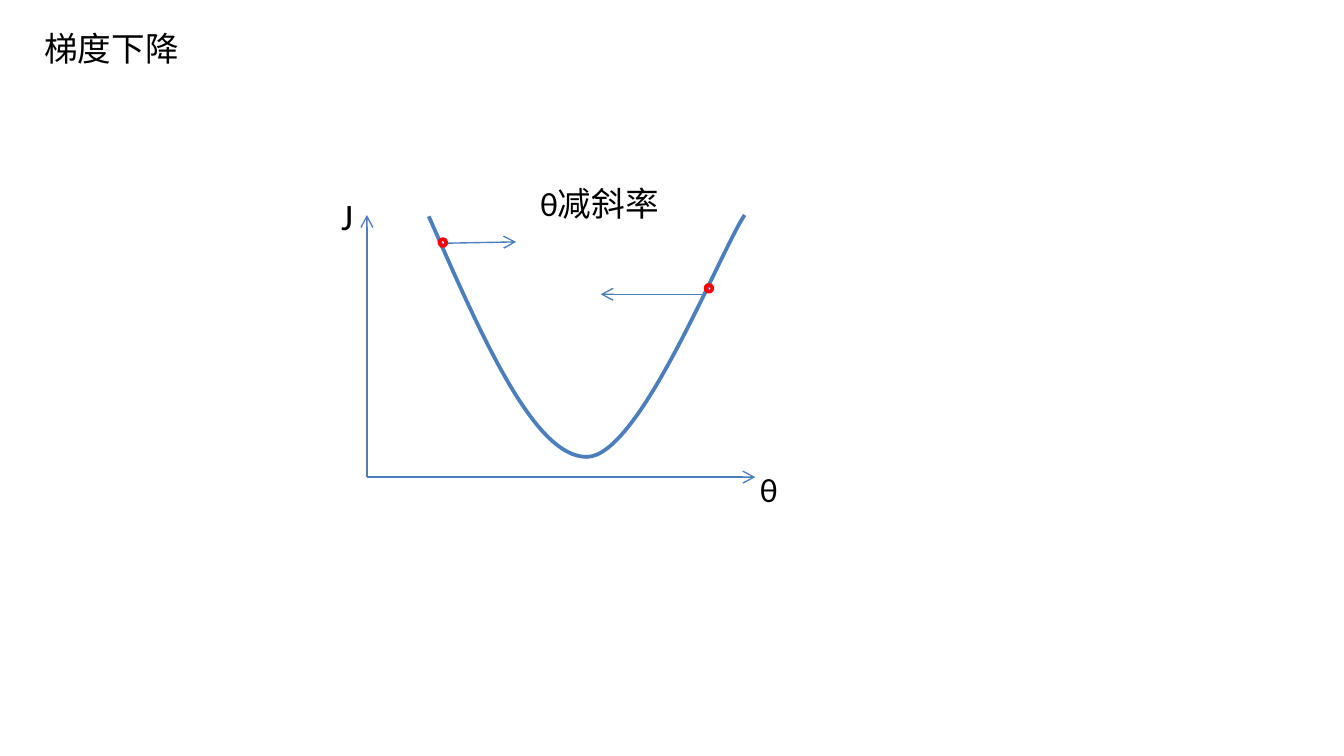
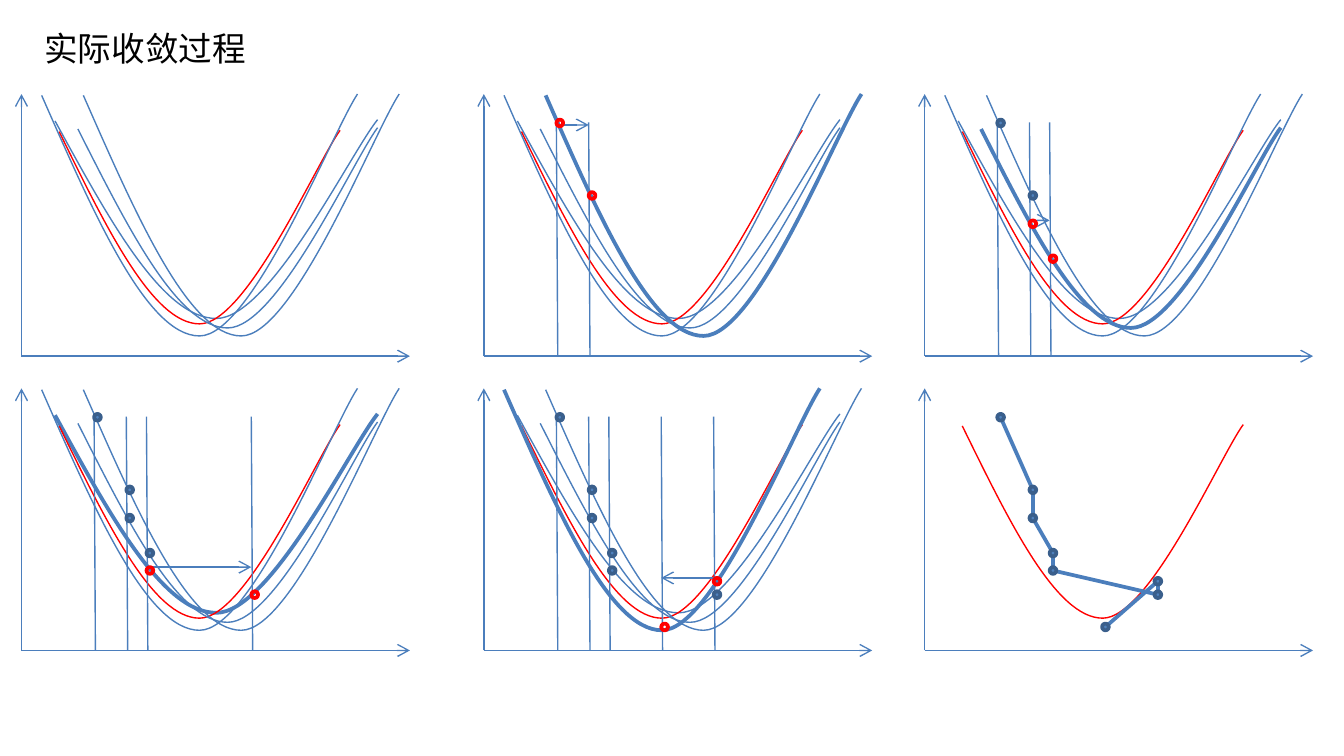
import itertools

import pptx
import pptx.dml.color
import pptx.enum.shapes
import pptx.enum.text
import pptx.oxml
import pptx.oxml.ns
import pptx.util

Inches = pptx.util.Inches
BLUE = pptx.dml.color.RGBColor(0x4B, 0x7E, 0xBC)
RED = pptx.dml.color.RGBColor(0xFF, 0x00, 0x00)
DOT_FILL = pptx.dml.color.RGBColor(0x4F, 0x81, 0xBD)
DOT_EDGE = pptx.dml.color.RGBColor(0x3A, 0x5F, 0x8C)
BLACK = pptx.dml.color.RGBColor(0x00, 0x00, 0x00)
FONT = "Calibri"
THIN, THICK = 0.75, 2
DOT = 0.05
AXIS_WIDTH, AXIS_HEIGHT = 2.89, 1.95
GUIDE_TOP, GUIDE_SLANT = 0.21, 0.01
LEFT = pptx.enum.text.PP_ALIGN.LEFT
CENTER = pptx.enum.text.PP_ALIGN.CENTER


def write_text(box, text, left, top, width, height=0.4, size=18, align=LEFT, wrap=False):
    box.left, box.top, box.width, box.height = map(Inches, (left, top, width, height))
    frame = box.text_frame
    frame.word_wrap = wrap
    frame.auto_size = pptx.enum.text.MSO_AUTO_SIZE.NONE
    frame.vertical_anchor = pptx.enum.text.MSO_ANCHOR.TOP
    para = frame.paragraphs[0]
    para.alignment = align
    span = para.add_run()
    span.text = text
    span.font.name = FONT
    span.font.size = pptx.util.Pt(size)
    span.font.color.rgb = BLACK


deck = pptx.Presentation()
deck.slide_width = Inches(10)
deck.slide_height = deck.slide_width * 9 // 16

pages = []
for title, width in (("梯度下降", 1.21), ("实际收敛过程", 1.72)):
    page = deck.slides.add_slide(deck.slide_layouts[5])
    write_text(page.shapes.title, title, left=0.23, top=0.16, width=width)
    pages.append(page)
descent, convergence = pages

SHALLOW = (0.25, 2.65, 0.19, 1.67)
TARGET = (0.28, 2.37, 0.27, 1.71)
MIDDLE = (0.42, 2.65, 0.25, 1.74)
DEEP_LEFT = (0.15, 2.5, 0, 1.8)
DEEP_RIGHT = (0.46, 2.81, 0, 1.8)
FAMILY = (SHALLOW, TARGET, MIDDLE, DEEP_LEFT, DEEP_RIGHT)
TRAIL = ((0.54, 0.19), (0.78, 0.73), (0.78, 0.94), (0.93, 1.2),
         (0.93, 1.33), (1.71, 1.51), (1.71, 1.41), (1.32, 1.75))

COLUMNS = (0.16, 3.6, 6.88)
ROWS = (0.7, 2.89)
STEPS = ((0, None, 0), (2, DEEP_RIGHT, 0.23), (4, MIDDLE, 0.94),
         (6, SHALLOW, 1.33), (8, DEEP_LEFT, 1.41))
cells = [(column, row) for row in ROWS for column in COLUMNS]

curves, lines, dots = [], [], []
panels = [(descent, 2.73, 1.6)] + [(convergence, *cell) for cell in cells]
for page, x, y in panels:
    floor = y + AXIS_HEIGHT
    lines.append((page, x, floor, x + AXIS_WIDTH, floor, THIN, True))
    lines.append((page, x, floor, x, y, THIN, True))

x, y = panels[0][1:]
curves.append((descent, x, y, DEEP_RIGHT, BLUE, THICK))
for dot_x, dot_y in ((0.54, 0.18), (2.52, 0.52)):
    dots.append((descent, x + dot_x, y + dot_y, True))
for start_x, start_y, end_x, end_y in ((0.57, 0.21, 1.11, 0.2), (2.52, 0.59, 1.74, 0.59)):
    lines.append((descent, x + start_x, y + start_y, x + end_x, y + end_y, THIN, True))

for (x, y), (count, active, height) in zip(cells, STEPS):
    for curve in FAMILY:
        color = RED if curve is TARGET else BLUE
        curves.append((convergence, x, y, curve, color, THICK if curve is active else THIN))
    for index, (dot_x, dot_y) in enumerate(TRAIL[:count]):
        dots.append((convergence, x + dot_x, y + dot_y, index >= count - 2))
        if index == 0 or index % 2:
            guide = x + dot_x
            lines.append((convergence, guide, y + GUIDE_TOP,
                          guide + GUIDE_SLANT, y + AXIS_HEIGHT, THIN, False))
    if count:
        start, end = TRAIL[count - 2:count]
        lines.append((convergence, x + start[0], y + height, x + end[0], y + height, THIN, True))

x, y = cells[-1]
curves.append((convergence, x, y, TARGET, RED, THIN))
for dot_x, dot_y in TRAIL:
    dots.append((convergence, x + dot_x, y + dot_y, False))
for start, end in itertools.pairwise(TRAIL):
    ends = [base + value + DOT / 2 for base, value in zip((x, y, x, y), start + end)]
    lines.append((convergence, *ends, THICK, False))

for page, x, y, (left, right, top, bottom), color, weight in curves:
    half, depth = (right - left) / 2, bottom - top
    middle = left + half
    points = [(left, top + 0.01), (left + half / 3, top + depth / 2),
              (middle - half / 3, bottom), (middle, bottom), (middle + half / 3, bottom),
              (right - half / 6, top + depth / 6), (right, top)]
    points = [(Inches(x + across), Inches(y + down)) for across, down in points]
    builder = page.shapes.build_freeform(*points[0])
    builder.add_line_segments(points[1:], close=False)
    parabola = builder.convert_to_shape()
    parabola.shadow.inherit = False
    parabola.fill.background()
    parabola.line.color.rgb = color
    parabola.line.width = pptx.util.Pt(weight)
    outline = parabola._element.find(".//" + pptx.oxml.ns.qn("a:path"))
    segments = outline.findall(pptx.oxml.ns.qn("a:lnTo"))
    for first in (0, 3):
        bezier = outline.makeelement(pptx.oxml.ns.qn("a:cubicBezTo"))
        outline.append(bezier)
        for segment in segments[first:first + 3]:
            bezier.append(segment[0])
            outline.remove(segment)

for page, start_x, start_y, end_x, end_y, weight, arrow in lines:
    line = page.shapes.add_connector(
        pptx.enum.shapes.MSO_CONNECTOR.STRAIGHT, *map(Inches, (start_x, start_y, end_x, end_y)))
    line.line.color.rgb = BLUE
    line.line.width = pptx.util.Pt(weight)
    properties = line._element.spPr
    properties.append(properties.makeelement(pptx.oxml.ns.qn("a:effectLst")))
    if arrow:
        stroke = line.line._get_or_add_ln()
        stroke.append(stroke.makeelement(pptx.oxml.ns.qn("a:tailEnd"), {"type": "arrow"}))

for page, x, y, current in dots:
    dot = page.shapes.add_shape(
        pptx.enum.shapes.MSO_SHAPE.OVAL, *map(Inches, (x, y, DOT, DOT)))
    dot.shadow.inherit = False
    dot.line.color.rgb = RED if current else DOT_EDGE
    dot.line.width = pptx.util.Pt(THICK)
    if current:
        dot.fill.background()
    else:
        dot.fill.solid()
        dot.fill.fore_color.rgb = DOT_FILL

for text, place in (
    ("J", dict(left=2.44, top=1.39, width=0.36, height=0.44, size=20)),
    ("θ", dict(left=5.55, top=3.44, width=0.34, align=CENTER)),
    ("θ减斜率", dict(left=3.91, top=1.31, width=1.1, align=CENTER, wrap=True)),
):
    write_text(descent.shapes.add_textbox(0, 0, 0, 0), text, **place)

deck.save("out.pptx")
